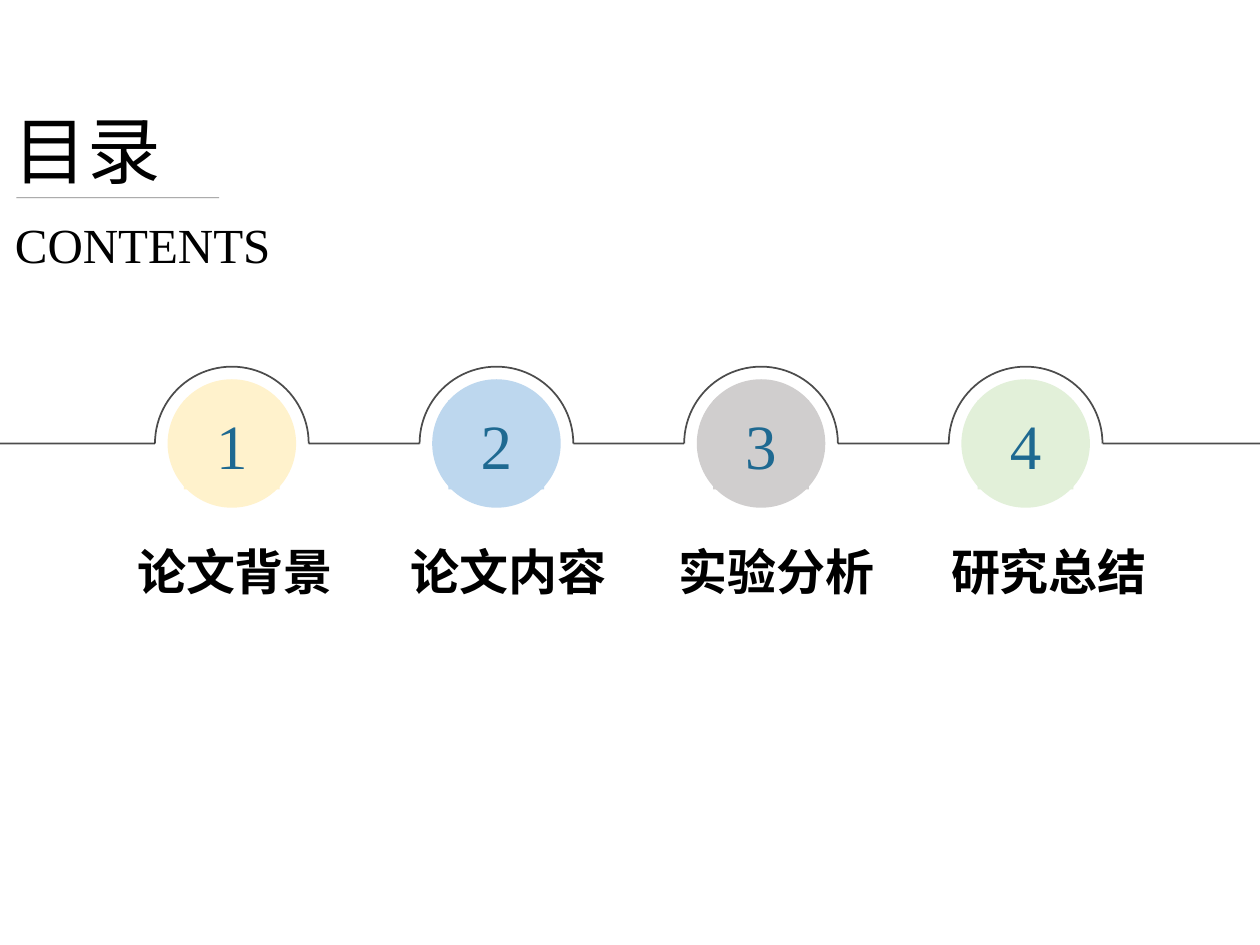
from lxml.etree import SubElement
from pptx import Presentation
from pptx.dml.color import RGBColor
from pptx.enum.shapes import MSO_CONNECTOR, MSO_SHAPE
from pptx.enum.text import MSO_ANCHOR, MSO_AUTO_SIZE, PP_ALIGN
from pptx.oxml.ns import qn
from pptx.util import Inches, Pt

SERIF = "Times New Roman"
LINE_Y = 3.52
FIRST_CENTER, STEP = 1.84, 2.1
ARC_RADIUS, DISC_RADIUS = 0.61, 0.51

# Label, left edge of the label, disc colour
CHAPTERS = [
    ("论文背景", 0.99, "FFF2CC"),
    ("论文内容", 3.16, "BDD7EE"),
    ("实验分析", 5.29, "D0CECE"),
    ("研究总结", 7.45, "E2F0D9"),
]


def color(value):
    return RGBColor.from_string(value)


def style_line(shape, width, opacity):
    shape.line.width = Pt(width)
    shape.line.color.rgb = color("000000")
    fill = shape.line.color._xFill
    SubElement(fill[0], qn("a:alpha"), val=str(opacity * 1000))


def write(shape, text, size, face, ink="000000", bold=False,
          align=PP_ALIGN.LEFT, anchor=MSO_ANCHOR.TOP):
    frame = shape.text_frame
    frame.word_wrap = True
    frame.auto_size = MSO_AUTO_SIZE.NONE
    frame.vertical_anchor = anchor
    paragraph = frame.paragraphs[0]
    paragraph.text = text
    paragraph.alignment = align
    font = paragraph.font
    font.size, font.name, font.bold = Pt(size), face, bold
    font.color.rgb = color(ink)
    # East Asian typeface
    properties = paragraph._p.pPr.find(qn("a:defRPr"))
    SubElement(properties, qn("a:ea"), typeface=face)


def add_text(page, left, top, width, height, *content, **style):
    box = page.shapes.add_textbox(Inches(left), Inches(top),
                                  Inches(width), Inches(height))
    write(box, *content, **style)


def add_rule(page, start, end, y, width, opacity):
    rule = page.shapes.add_connector(MSO_CONNECTOR.STRAIGHT, Inches(start),
                                     Inches(y), Inches(end), Inches(y))
    style_line(rule, width, opacity)
    SubElement(rule._element.spPr, qn("a:effectLst"))


def add_centered(page, kind, center, middle, width, height, fill=None):
    shape = page.shapes.add_shape(
        kind, Inches(center - width / 2), Inches(middle - height / 2),
        Inches(width), Inches(height))
    shape.shadow.inherit = False
    if fill:
        shape.fill.solid()
        shape.fill.fore_color.rgb = color(fill)
        shape.line.fill.background()
    else:
        shape.fill.background()
    return shape


def add_arc(page, center):
    arc = add_centered(page, MSO_SHAPE.ARC, center, LINE_Y,
                       2 * ARC_RADIUS, 2 * ARC_RADIUS)
    # Upper half circle: 180 degrees in units of 1/60000 degree
    arc.adjustments[0] = 108
    arc.adjustments[1] = 0
    style_line(arc, 1, 70)


def add_number(page, center, number, fill):
    add_centered(page, MSO_SHAPE.OVAL, center, LINE_Y,
                 2 * DISC_RADIUS, 2 * DISC_RADIUS, fill)
    plate = add_centered(page, MSO_SHAPE.RECTANGLE, center, 3.53,
                         0.76, 0.71, fill)
    write(plate, str(number), 36, SERIF, ink="1E6991", align=PP_ALIGN.CENTER)


def add_heading(page):
    title = page.shapes.title
    title.left, title.top = Inches(0.01), Inches(0.9)
    title.width, title.height = Inches(8.75), Inches(0.56)
    write(title, "目录", 42, "Calibri", anchor=MSO_ANCHOR.MIDDLE)
    add_rule(page, 0.13, 1.74, 1.57, 0.5, 50)
    add_text(page, 0.02, 1.65, 3.81, 0.57, "CONTENTS", 28, SERIF)


def main():
    deck = Presentation()
    deck.slide_width, deck.slide_height = Inches(10), Inches(7.5)
    page = deck.slides.add_slide(deck.slide_layouts[5])
    add_heading(page)

    # Timeline with one stop per chapter
    start = 0
    for index, (label, left, fill) in enumerate(CHAPTERS):
        center = FIRST_CENTER + index * STEP
        add_rule(page, start, center - ARC_RADIUS, LINE_Y, 1, 70)
        add_arc(page, center)
        add_number(page, center, index + 1, fill)
        add_text(page, left, 4.25, 2.34, 0.57, label, 28,
                 "Noto Sans CJK SC", bold=True)
        start = center + ARC_RADIUS
    add_rule(page, start, 10, LINE_Y, 1, 70)

    deck.save("out.pptx")


if __name__ == "__main__":
    main()
